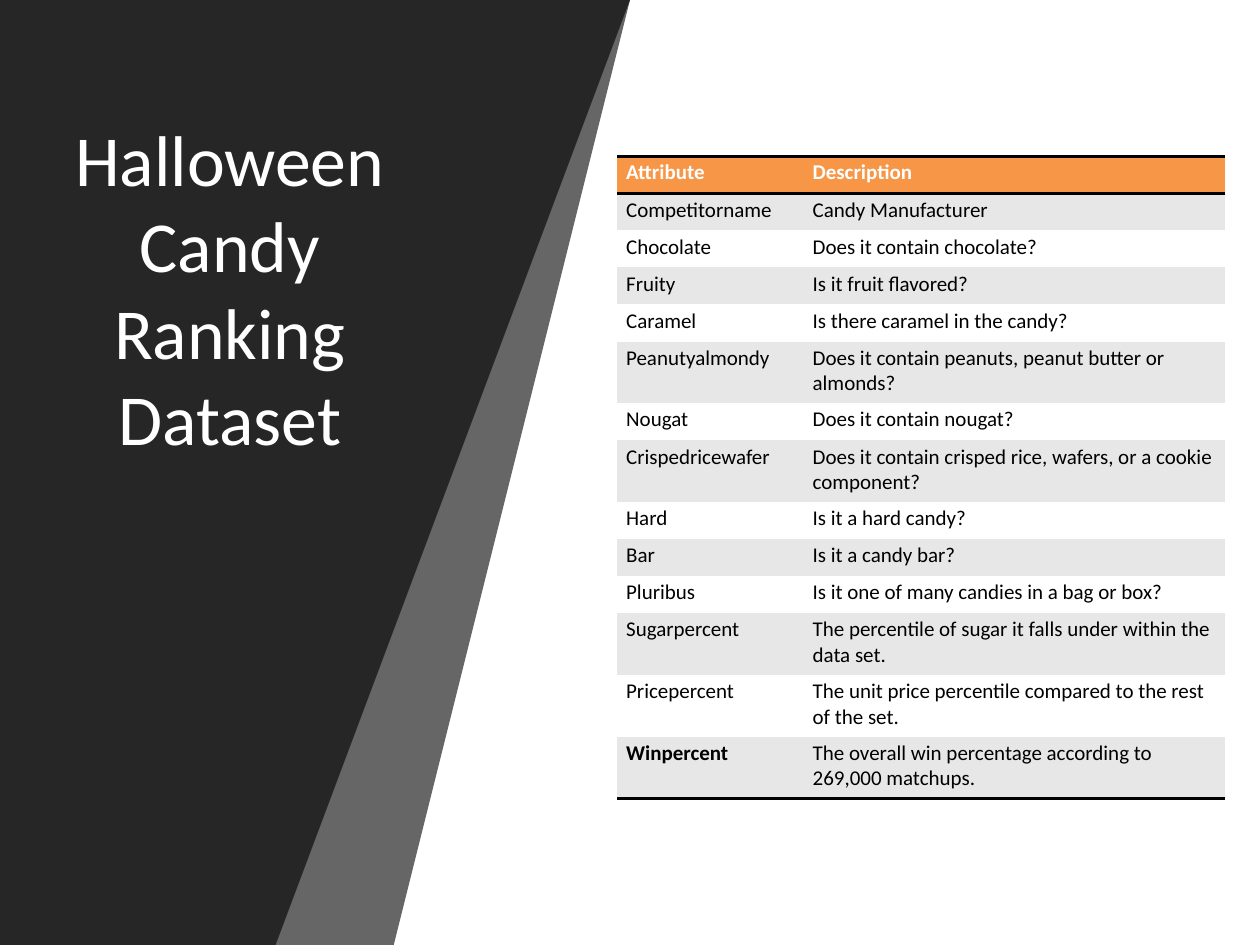
from lxml import etree
from pptx import Presentation
from pptx import util as u
from pptx.dml.color import RGBColor
from pptx.enum import text
from pptx.oxml import ns

TITLE = "Halloween Candy Ranking Dataset"
ROWS = [
    ("Attribute", "Description"),
    ("Competitorname", "Candy Manufacturer"),
    ("Chocolate", "Does it contain chocolate?"),
    ("Fruity", "Is it fruit flavored?"),
    ("Caramel", "Is there caramel in the candy?"),
    ("Peanutyalmondy", "Does it contain peanuts, peanut butter or almonds?"),
    ("Nougat", "Does it contain nougat?"),
    ("Crispedricewafer", "Does it contain crisped rice, wafers, or a cookie component?"),
    ("Hard", "Is it a hard candy?"),
    ("Bar", "Is it a candy bar?"),
    ("Pluribus", "Is it one of many candies in a bag or box?"),
    ("Sugarpercent", "The percentile of sugar it falls under within the data set."),
    ("Pricepercent", "The unit price percentile compared to the rest of the set."),
    ("Winpercent", "The overall win percentage according to 269,000 matchups."),
]
COLORS = {"dark": "262626", "white": "FFFFFF", "black": "000000",
          "header": "F79646", "stripe": "E7E7E7"}
FONT = "Calibri"
NO_STYLE = "{2D5ABB26-0587-4C30-8999-92F81FD0307C}"
WIDTH, HEIGHT = 10, 7.5
BANDS = [(5.23, 2.63, 70), (4.9, 2.29, 100)]
TABLE_LEFT, TABLE_TOP, TABLE_HEIGHT = 4.9, 1.24, 5.1
COLUMNS = (1.48, 3.34)
TALL_ROW, LINE_CHARS = 0.49, 45


def rgb(name):
    return RGBColor.from_string(COLORS[name])


def add_span(para, words, size, color, bold=False):
    span = para.add_run()
    span.text = words
    span.font.name, span.font.size, span.font.bold = FONT, u.Pt(size), bold
    span.font.color.rgb = rgb(color)


def add_band(page, top_right, bottom_right, opacity):
    builder = page.shapes.build_freeform(0, 0, scale=u.Inches(1))
    builder.add_line_segments(
        [(top_right, 0), (bottom_right, HEIGHT), (0, HEIGHT)], close=True)
    band = builder.convert_to_shape()
    band.shadow.inherit = False
    band.line.fill.background()
    band.fill.solid()
    band.fill.fore_color.rgb = rgb("dark")
    if opacity < 100:
        color = band.element.spPr.find(".//" + ns.qn("a:srgbClr"))
        etree.SubElement(color, ns.qn("a:alpha"), val=str(opacity * 1000))


def add_title(page):
    title = page.shapes.title
    title.left, title.top, title.width, title.height = map(
        u.Inches, (0.28, 0.48, 3.09, 3.6))
    page.shapes[-1].element.addnext(title.element)
    frame = title.text_frame
    frame.word_wrap = True
    frame.auto_size = text.MSO_AUTO_SIZE.NONE
    frame.vertical_anchor = text.MSO_ANCHOR.MIDDLE
    para = frame.paragraphs[0]
    para.alignment = text.PP_ALIGN.CENTER
    add_span(para, TITLE, 41, "white")


def add_border(cell, side):
    line = etree.SubElement(cell._tc.get_or_add_tcPr(), ns.qn("a:" + side),
                            w=str(u.Pt(2)))
    fill = etree.SubElement(line, ns.qn("a:solidFill"))
    etree.SubElement(fill, ns.qn("a:srgbClr"), val=COLORS["black"])


def add_attributes(page):
    last = len(ROWS) - 1
    tall = [len(description) > LINE_CHARS for _, description in ROWS]
    short_row = (TABLE_HEIGHT - TALL_ROW * sum(tall)) / tall.count(False)
    frame = page.shapes.add_table(
        len(ROWS), len(COLUMNS), u.Inches(TABLE_LEFT), u.Inches(TABLE_TOP),
        u.Inches(sum(COLUMNS)), u.Inches(TABLE_HEIGHT))
    frame.element.find(".//" + ns.qn("a:tableStyleId")).text = NO_STYLE
    table = frame.table
    table.horz_banding = False
    for column, width in zip(table.columns, COLUMNS):
        column.width = u.Inches(width)
    for r, words in enumerate(ROWS):
        table.rows[r].height = u.Inches(TALL_ROW if tall[r] else short_row)
        fill = "header" if r == 0 else "stripe" if r % 2 else "white"
        for c, label in enumerate(words):
            cell = table.cell(r, c)
            cell.margin_left = cell.margin_right = u.Inches(0.07)
            cell.margin_top = cell.margin_bottom = u.Inches(0.03)
            if r == 0:
                add_border(cell, "lnT")
            if r in (0, last):
                add_border(cell, "lnB")
            cell.fill.solid()
            cell.fill.fore_color.rgb = rgb(fill)
            add_span(cell.text_frame.paragraphs[0], label, 12,
                     "black" if r else "white",
                     bold=r == 0 or (r == last and c == 0))


def main():
    deck = Presentation()
    deck.slide_width, deck.slide_height = u.Inches(WIDTH), u.Inches(HEIGHT)
    page = deck.slides.add_slide(deck.slide_layouts[5])
    for band in BANDS:
        add_band(page, *band)
    add_title(page)
    add_attributes(page)
    deck.save("out.pptx")


if __name__ == "__main__":
    main()
